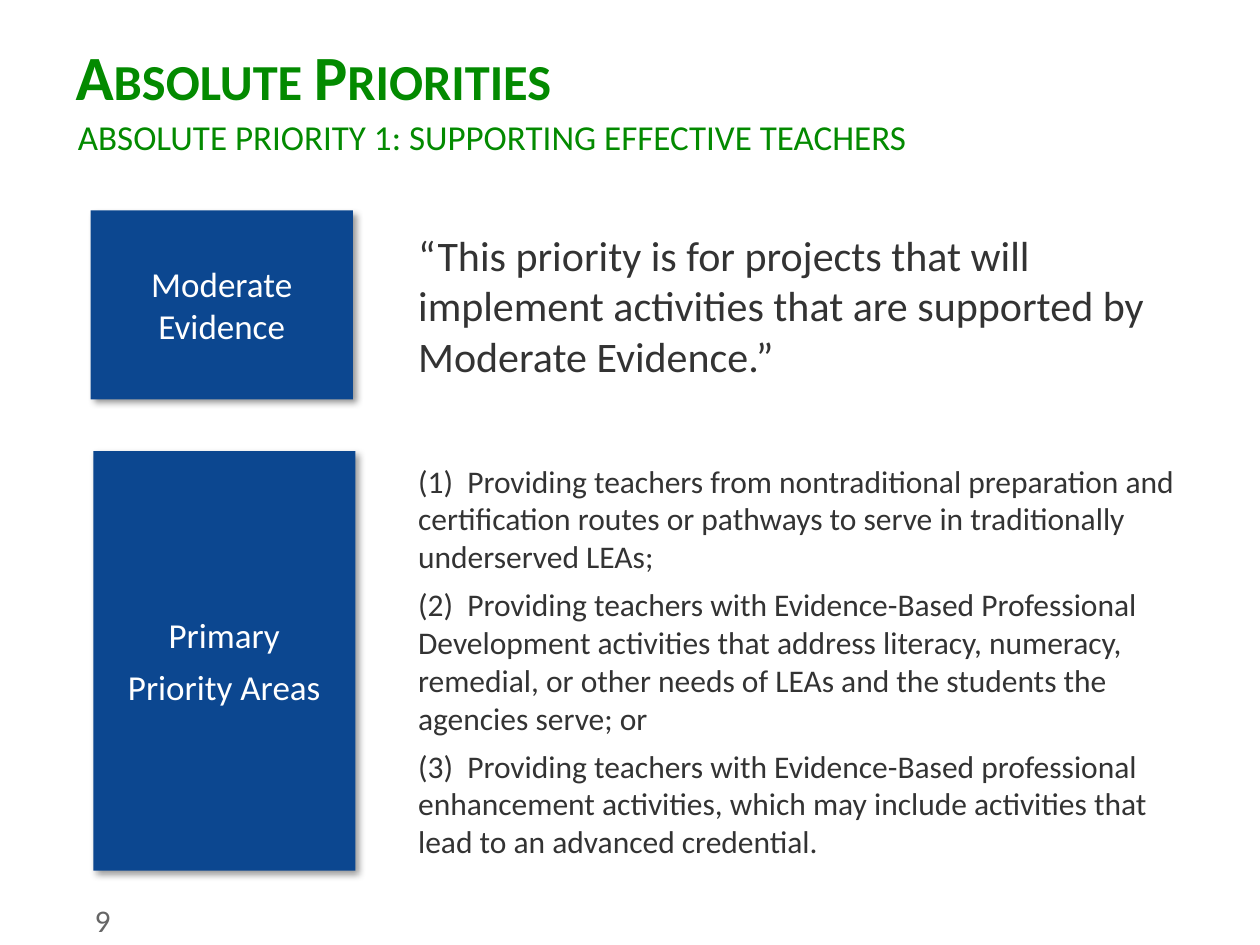
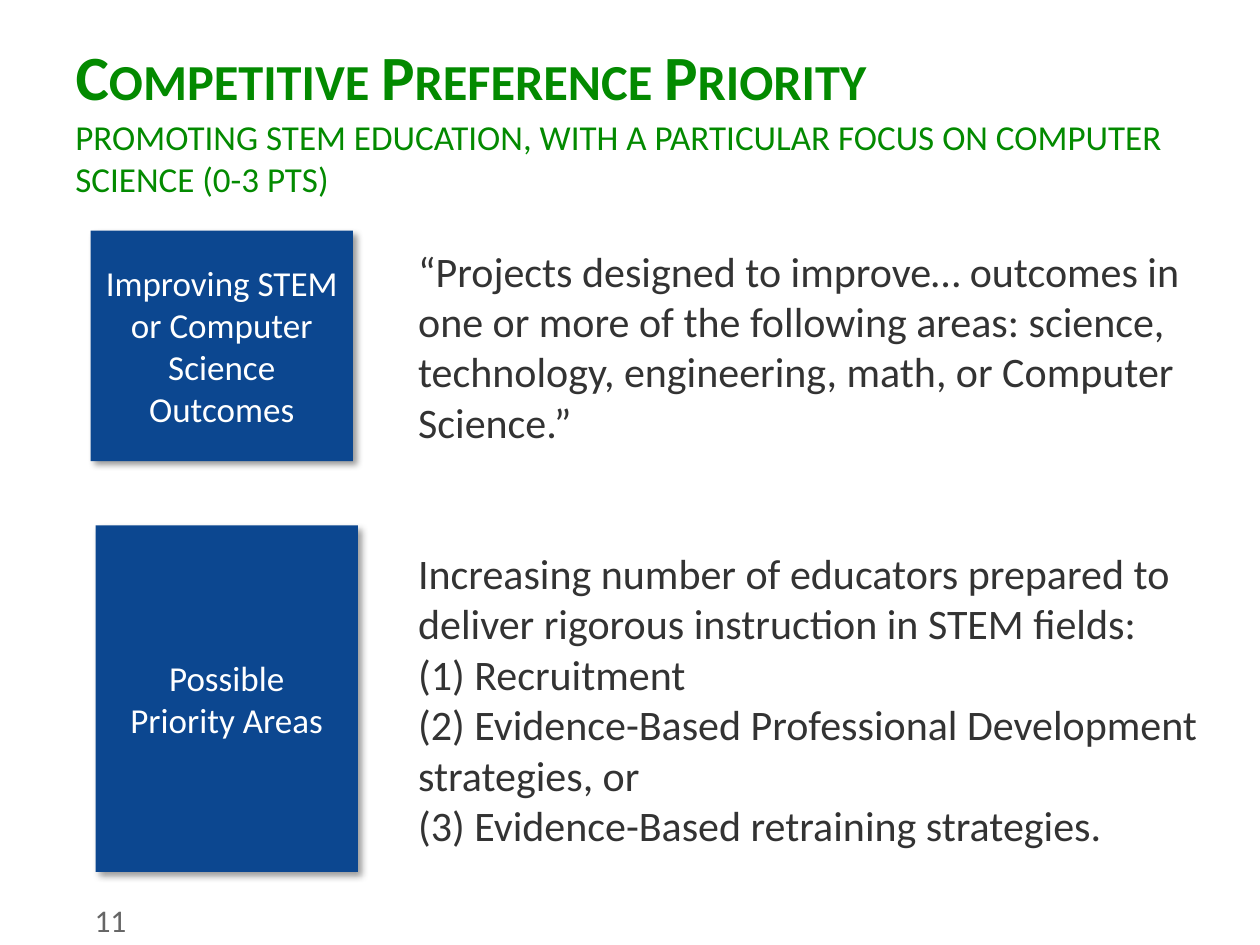
from dataclasses import dataclass

import lxml.etree
import pptx
import pptx.dml.color
import pptx.enum.shapes
import pptx.enum.text
import pptx.oxml
import pptx.oxml.ns
import pptx.shapes.autoshape
import pptx.slide
import pptx.util

Inches = pptx.util.Inches
Pt = pptx.util.Pt
ALIGN = pptx.enum.text.PP_ALIGN
ANCHOR = pptx.enum.text.MSO_ANCHOR

FONT = "Calibri"
GREEN = "038A00"
BLUE = "0C4790"
WHITE = "FFFFFF"
BODY_GREY = "333333"
NUMBER_GREY = "666666"

LABEL_WIDTH = 2.08
DETAIL_LEFT = 3.22
NUMBER_TAB = 0.39


@dataclass(frozen=True)
class TextStyle:
    size: float
    color: str
    bold: bool = False
    align: ALIGN = ALIGN.LEFT
    anchor: ANCHOR = ANCHOR.TOP


TITLE = TextStyle(36, GREEN, bold=True)
SUBTITLE = TextStyle(20, GREEN)
LABEL = TextStyle(20, WHITE, align=ALIGN.CENTER, anchor=ANCHOR.MIDDLE)
QUOTE = TextStyle(24, BODY_GREY, anchor=ANCHOR.MIDDLE)
LONG_LIST = TextStyle(18, BODY_GREY, anchor=ANCHOR.MIDDLE)
NUMBER = TextStyle(18, NUMBER_GREY)


@dataclass(frozen=True)
class Row:
    """A blue label with the text it introduces on its right."""
    label: str
    detail: str
    label_left: float
    top: float
    height: float
    detail_width: float = 6.25
    style: TextStyle = QUOTE
    gap: float = 0


@dataclass(frozen=True)
class PrioritySlide:
    title: str
    subtitle: str
    number: str
    rows: tuple[Row, ...]
    subtitle_left: float = 0.5


SLIDES = (
    PrioritySlide(
        "Absolute Priorities",
        "ABSOLUTE PRIORITY 1: SUPPORTING EFFECTIVE TEACHERS",
        "9",
        (
            Row("Moderate Evidence",
                "“This priority is for projects that will implement activities "
                "that are supported by Moderate Evidence.”",
                0.72, 1.67, 1.5),
            Row("Primary\nPriority Areas",
                "(1)\tProviding teachers from nontraditional preparation and "
                "certification routes or pathways to serve in traditionally "
                "underserved LEAs;\n"
                "(2)\tProviding teachers with Evidence-Based Professional "
                "Development activities that address literacy, numeracy, "
                "remedial, or other needs of LEAs and the students the "
                "agencies serve; or\n"
                "(3)\tProviding teachers with Evidence-Based professional "
                "enhancement activities, which may include activities that "
                "lead to an advanced credential.",
                0.74, 3.58, 3.33, 6.42, LONG_LIST, 5.8),
        ),
        subtitle_left=0.52,
    ),
    PrioritySlide(
        "Competitive Preference Priority",
        "PROMOTING STEM EDUCATION, WITH A PARTICULAR FOCUS ON COMPUTER "
        "SCIENCE (0-3 PTS)",
        "11",
        (
            Row("Improving STEM or Computer Science Outcomes",
                "“Projects designed to improve… outcomes in one or more of the "
                "following areas: science, technology, engineering, math, or "
                "Computer Science.”",
                0.72, 1.83, 1.83),
            Row("Possible\nPriority Areas",
                "Increasing number of educators prepared to deliver rigorous "
                "instruction in STEM fields:\n"
                "(1) Recruitment\n"
                "(2) Evidence-Based Professional Development strategies, or\n"
                "(3) Evidence-Based retraining strategies.",
                0.76, 4.17, 2.75, 6.42),
        ),
    ),
)


def rgb(color: str) -> pptx.dml.color.RGBColor:
    return pptx.dml.color.RGBColor.from_string(color)


def write(shape: pptx.shapes.autoshape.Shape, text: str, style: TextStyle,
          gap: float = 0) -> None:
    """Fill a shape with styled paragraphs, gap points apart."""
    frame = shape.text_frame
    frame.text = text
    frame.word_wrap = True
    frame.auto_size = pptx.enum.text.MSO_AUTO_SIZE.NONE
    frame.vertical_anchor = style.anchor
    for index, paragraph in enumerate(frame.paragraphs):
        paragraph.alignment = style.align
        paragraph.space_before = Pt(gap if index else 0)
        if "\t" in paragraph.text:
            add_number_tab(paragraph)
        for run in paragraph.runs:
            run.font.name = FONT
            run.font.size = Pt(style.size)
            run.font.bold = style.bold
            run.font.color.rgb = rgb(style.color)


def add_number_tab(paragraph: pptx.text.text._Paragraph) -> None:
    """Set the tab stop after an item number."""
    qn = pptx.oxml.ns.qn
    tabs = lxml.etree.SubElement(paragraph._p.get_or_add_pPr(), qn("a:tabLst"))
    lxml.etree.SubElement(tabs, qn("a:tab"),
                          pos=str(Inches(NUMBER_TAB)), algn="l")


def add_text(slide: pptx.slide.Slide, left: float, top: float, width: float,
             height: float, text: str, style: TextStyle,
             gap: float = 0) -> pptx.shapes.autoshape.Shape:
    box = slide.shapes.add_textbox(Inches(left), Inches(top),
                                   Inches(width), Inches(height))
    write(box, text, style, gap)
    return box


def add_shadow(shape: pptx.shapes.autoshape.Shape) -> None:
    shape.shadow.inherit = False
    effects = shape._element.spPr.find(pptx.oxml.ns.qn("a:effectLst"))
    effects.append(pptx.oxml.parse_xml(
        f'<a:outerShdw {pptx.oxml.ns.nsdecls("a")} blurRad="{Pt(4)}" '
        f'dist="{Pt(3)}" dir="2700000" algn="tl" rotWithShape="0">'
        '<a:srgbClr val="000000"><a:alpha val="40000"/></a:srgbClr>'
        '</a:outerShdw>'))


def add_row(slide: pptx.slide.Slide, row: Row) -> None:
    label = slide.shapes.add_shape(
        pptx.enum.shapes.MSO_SHAPE.RECTANGLE, Inches(row.label_left),
        Inches(row.top), Inches(LABEL_WIDTH), Inches(row.height))
    label.fill.solid()
    label.fill.fore_color.rgb = rgb(BLUE)
    label.line.fill.background()
    add_shadow(label)
    write(label, row.label, LABEL, row.gap)
    add_text(slide, DETAIL_LEFT, row.top, row.detail_width, row.height,
             row.detail, row.style, row.gap)


def add_title(slide: pptx.slide.Slide, text: str) -> None:
    title = slide.shapes.title
    title.left, title.top = Inches(0.5), Inches(0.25)
    title.width, title.height = Inches(9), Inches(0.62)
    write(title, text, TITLE)
    for run in title.text_frame.paragraphs[0].runs:
        run.font._element.set("cap", "small")


def add_priority_slide(deck: pptx.presentation.Presentation,
                       content: PrioritySlide) -> None:
    slide = deck.slides.add_slide(deck.slide_layouts.get_by_name("Title Only"))
    add_title(slide, content.title)
    add_text(slide, content.subtitle_left, 0.87, 9, 0.55,
             content.subtitle, SUBTITLE)
    for row in content.rows:
        add_row(slide, row)
    number = add_text(slide, 0.75, 7.1, 0.58, 0.4, content.number, NUMBER)
    number.text_frame.margin_left = number.text_frame.margin_right = 0


def main() -> None:
    deck = pptx.Presentation()
    deck.slide_width, deck.slide_height = Inches(10), Inches(7.5)
    for content in SLIDES:
        add_priority_slide(deck, content)
    deck.save("out.pptx")


if __name__ == "__main__":
    main()
